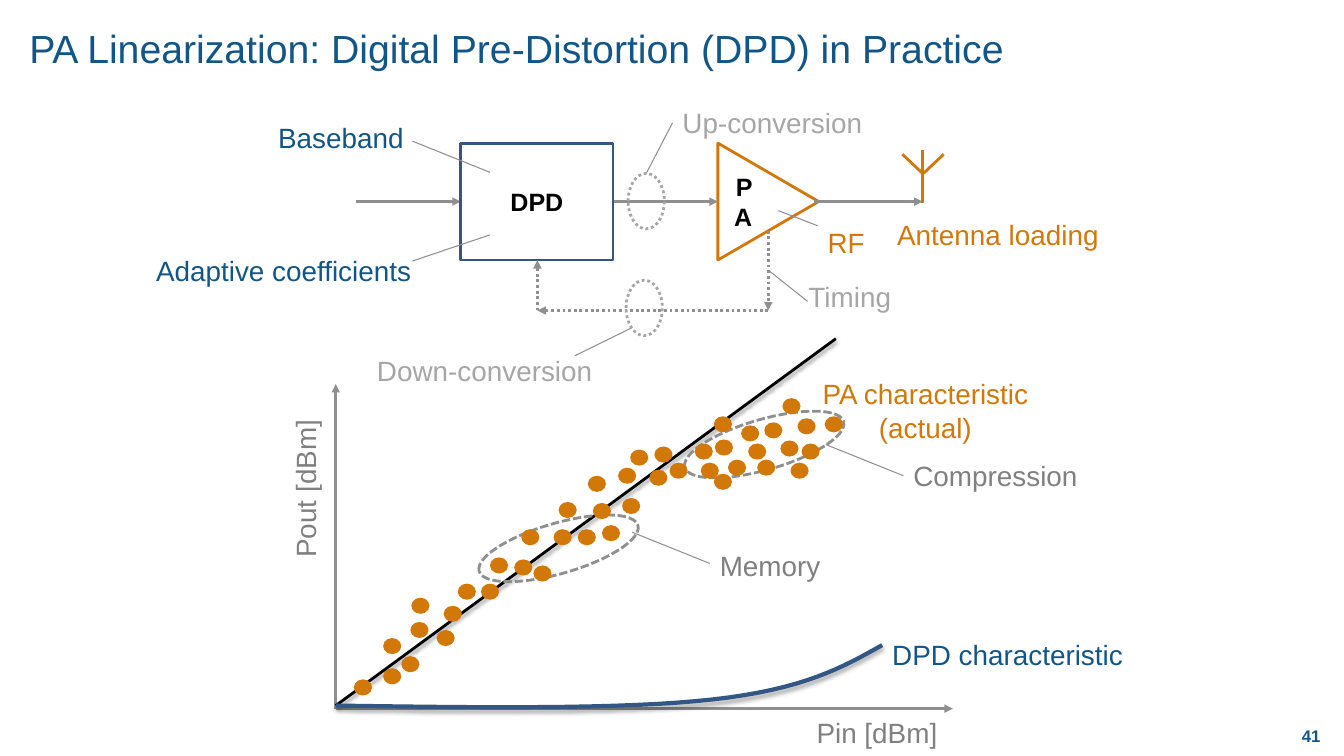
import pptx
import pptx.util
import pptx.dml.color
import pptx.enum.dml
import pptx.enum.shapes
import pptx.enum.text
import pptx.oxml
import pptx.oxml.ns
from dataclasses import dataclass

Inches = pptx.util.Inches
Pt = pptx.util.Pt
Shape = pptx.enum.shapes.MSO_SHAPE
Dash = pptx.enum.dml.MSO_LINE
Align = pptx.enum.text.PP_ALIGN
Anchor = pptx.enum.text.MSO_ANCHOR


@dataclass(frozen=True)
class Theme:
    font: str = "Arial"
    blue: str = "125687"
    navy: str = "325784"
    orange: str = "D27809"
    gray: str = "8F8F8F"
    dark_gray: str = "808080"
    light_gray: str = "A6A6A6"
    black: str = "000000"
    white: str = "FFFFFF"
    title_size: float = 28
    label_size: float = 19.9
    block_size: float = 17.9
    number_size: float = 12
    stroke: float = 2
    thin: float = 0.75
    curve: float = 3


THEME = Theme()

# Content: lengths in inches
TITLE = "PA Linearization: Digital Pre-Distortion (DPD) in Practice"
SLIDE_NUMBER = "41"

# Text, left, top, width, colour, rotation
LABELS = [
    ("Pin [dBm]", 8, 7.05, 1.41, THEME.dark_gray, 0),
    ("Pout [dBm]", 2.24, 4.62, 1.58, THEME.dark_gray, 270),
    ("PA characteristic\n(actual)", 8.06, 3.69, 2.29, THEME.orange, 0),
    ("Compression", 8.96, 4.5, 1.85, THEME.dark_gray, 0),
    ("Memory", 7.04, 5.39, 1.21, THEME.dark_gray, 0),
    ("RF", 8.11, 2.19, 0.58, THEME.orange, 0),
    ("Baseband", 2.66, 1.15, 1.46, THEME.blue, 0),
    ("Up-conversion", 6.67, 1, 2.01, THEME.light_gray, 0),
    ("Down-conversion", 3.64, 3.46, 2.36, THEME.light_gray, 0),
    ("Adaptive coefficients", 1.45, 2.47, 2.76, THEME.blue, 0),
    ("Timing", 7.92, 2.73, 1.03, THEME.light_gray, 0),
    ("Antenna loading", 8.8, 2.11, 2.22, THEME.orange, 0),
    ("DPD characteristic", 8.75, 6.28, 2.52, THEME.blue, 0),
]

# Lines run from (x, y) to (x, y)
SIGNAL_ARROWS = [(6.08, 2, 7.12, 2), (8.07, 2, 9.15, 2), (3.53, 2, 4.57, 2)]
FEEDBACK_ARROWS = [(7.62, 2.29, 7.62, 3.08), (7.62, 3.08, 5.33, 3.08), (5.33, 3.08, 5.33, 2.58)]
AXES = [(3.33, 7.03, 9.45, 7.03), (3.33, 7.03, 3.33, 3.81)]
IDEAL_LINE = (3.33, 7, 8.29, 3.36)
ANTENNA = [(9.15, 1.49, 9.15, 2.01), (8.95, 1.53, 9.15, 1.72), (9.36, 1.53, 9.16, 1.72)]
LEADERS = [
    (8.19, 4.41, 8.96, 4.72), (6.27, 5.28, 7.04, 5.59), (4.09, 1.4, 4.86, 1.71),
    (7.72, 2.09, 8.11, 2.24), (6.41, 1.72, 6.67, 1.22), (5.7, 3.53, 6.27, 3.25),
    (4.09, 2.59, 4.86, 2.33), (7.62, 2.68, 8.01, 2.99),
]

REGIONS = [(6.76, 4.16), (4.72, 5.19)]
CONVERTERS = [(6.23, 1.72), (6.21, 2.78)]

# Start point, then control, control, end for each curve segment
DPD_CURVE = [(3.33, 7), (4.74, 7.02), (6.16, 7.04), (7.06, 6.94),
             (7.97, 6.84), (8.36, 6.62), (8.75, 6.4)]
CURVE_STEPS = 16

DOT_SIZE = (0.18, 0.16)
DOTS = [
    (3.51, 6.74), (3.8, 6.63), (3.8, 6.33), (3.98, 6.51), (4.07, 6.17), (4.33, 6.25),
    (4.4, 6.01), (4.08, 5.93), (4.54, 5.79), (4.77, 5.79), (5.1, 5.55), (5.49, 5.25),
    (5.88, 4.99), (6.44, 4.66), (6.89, 4.4), (7.35, 4.22), (7.91, 4.15), (4.86, 5.53),
    (5.29, 5.61), (5.17, 5.25), (5.54, 4.98), (5.73, 5.25), (5.97, 5.21), (6.17, 4.94),
    (6.13, 4.64), (6.49, 4.43), (6.64, 4.59), (6.95, 4.59), (7.22, 4.56), (7.08, 4.13),
    (7.09, 4.36), (7.42, 4.4), (7.74, 4.37), (7.76, 3.95), (7.58, 4.19), (7.95, 4.4),
    (7.51, 4.56), (7.84, 4.59), (7.08, 4.7), (8.18, 4.13), (5.83, 4.72), (6.25, 4.46),
]


def rgb(color):
    return pptx.dml.color.RGBColor.from_string(color)


def set_text(shape, text, size, color, bold=False, align=Align.LEFT):
    shape.text_frame.text = text
    for paragraph in shape.text_frame.paragraphs:
        paragraph.alignment = align
        for run in paragraph.runs:
            run.font.name = THEME.font
            run.font.size = Pt(size)
            run.font.bold = bold
            run.font.color.rgb = rgb(color)


def set_line(shape, color, width, dash=None):
    shape.line.color.rgb = rgb(color)
    shape.line.width = Pt(width)
    if dash is not None:
        shape.line.dash_style = dash


def add_effects(shape, alpha=None, blur=0, distance=0):
    """Add an effect list: empty, or a black shadow falling downward."""
    effects = pptx.oxml.parse_xml(f"<a:effectLst {pptx.oxml.ns.nsdecls('a')}/>")
    if alpha is not None:
        effects.append(pptx.oxml.parse_xml(
            f'<a:outerShdw {pptx.oxml.ns.nsdecls("a")} blurRad="{Pt(blur)}" dist="{Pt(distance)}" '
            f'dir="5400000" rotWithShape="0"><a:srgbClr val="{THEME.black}">'
            f'<a:alpha val="{alpha * 1000}"/></a:srgbClr></a:outerShdw>'))
    shape._element.spPr.append(effects)


def add_line(slide, ends, color, width, dash=None, arrow=False, **shadow):
    line = slide.shapes.add_connector(
        pptx.enum.shapes.MSO_CONNECTOR.STRAIGHT, *[Inches(value) for value in ends])
    set_line(line, color, width, dash)
    if arrow:
        line.line._get_or_add_ln().append(pptx.oxml.parse_xml(
            f'<a:tailEnd {pptx.oxml.ns.nsdecls("a")} type="triangle"/>'))
    add_effects(line, **shadow)


def add_shape(slide, kind, box, fill=None, line=None, dash=None, rotation=0):
    shape = slide.shapes.add_shape(kind, *[Inches(value) for value in box])
    shape.shadow.inherit = False
    shape.rotation = rotation
    if fill:
        shape.fill.solid()
        shape.fill.fore_color.rgb = rgb(fill)
    else:
        shape.fill.background()
    if line:
        set_line(shape, line, THEME.stroke, dash)
    else:
        shape.line.fill.background()
    return shape


def add_block(slide, kind, box, line, text, rotation=0):
    block = add_shape(slide, kind, box, THEME.white, line, rotation=rotation)
    set_text(block, text, THEME.block_size, THEME.black, True, Align.CENTER)
    block.text_frame.vertical_anchor = Anchor.MIDDLE
    return block


def add_label(slide, text, left, top, width, color, rotation):
    height = 0.44 + 0.33 * text.count("\n")
    label = slide.shapes.add_textbox(Inches(left), Inches(top), Inches(width), Inches(height))
    label.rotation = rotation
    set_text(label, text, THEME.label_size, color)
    label.text_frame.word_wrap = False
    label.text_frame.auto_size = pptx.enum.text.MSO_AUTO_SIZE.SHAPE_TO_FIT_TEXT
    for paragraph in label.text_frame.paragraphs[1:]:
        paragraph.alignment = Align.CENTER


def curve_points(points):
    for index in range(0, len(points) - 1, 3):
        segment = points[index:index + 4]
        for step in range(1, CURVE_STEPS + 1):
            t = step / CURVE_STEPS
            weights = ((1 - t) ** 3, 3 * t * (1 - t) ** 2, 3 * t ** 2 * (1 - t), t ** 3)
            yield tuple(Inches(sum(weight * point[axis] for weight, point in zip(weights, segment)))
                        for axis in (0, 1))


def main():
    presentation = pptx.Presentation()
    presentation.slide_width, presentation.slide_height = Inches(13.33), Inches(7.5)
    slide = presentation.slides.add_slide(presentation.slide_layouts[5])

    # Title and slide number
    title = slide.shapes.title
    title.left, title.top, title.width, title.height = map(Inches, (0.19, 0.19, 13.14, 1.08))
    set_text(title, TITLE, THEME.title_size, THEME.blue)
    title.text_frame.vertical_anchor = Anchor.TOP
    number = slide.shapes.add_textbox(*map(Inches, (12.67, 7.09, 0.67, 0.42)))
    set_text(number, SLIDE_NUMBER, THEME.number_size, THEME.blue, True, Align.CENTER)
    number.text_frame.word_wrap = True
    number.text_frame.vertical_anchor = Anchor.MIDDLE

    # Block diagram
    amplifier = add_block(slide, Shape.ISOSCELES_TRIANGLE, (7.04, 1.5, 1.16, 1),
                          THEME.orange, "PA", rotation=90)
    amplifier.text_frame._txBody.bodyPr.set("vert", "vert270")
    for ends in SIGNAL_ARROWS:
        add_line(slide, ends, THEME.gray, THEME.stroke, arrow=True)
    add_block(slide, Shape.RECTANGLE, (4.57, 1.42, 1.51, 1.16), THEME.navy, "DPD")
    for ends in FEEDBACK_ARROWS:
        add_line(slide, ends, THEME.gray, THEME.stroke, Dash.ROUND_DOT, arrow=True)

    # Chart axes, ideal line and regions
    for ends in AXES:
        add_line(slide, ends, THEME.gray, THEME.stroke, arrow=True)
    add_line(slide, IDEAL_LINE, THEME.black, THEME.stroke, alpha=38, blur=3.1, distance=1.6)
    for left, top in REGIONS:
        add_shape(slide, Shape.OVAL, (left, top, 1.64, 0.5), line=THEME.gray,
                  dash=Dash.SQUARE_DOT, rotation=343.9)

    # DPD curve
    builder = slide.shapes.build_freeform(*map(Inches, DPD_CURVE[0]))
    builder.add_line_segments(list(curve_points(DPD_CURVE)), close=False)
    curve = builder.convert_to_shape()
    curve.fill.background()
    set_line(curve, THEME.navy, THEME.curve)
    add_effects(curve, alpha=35, blur=3.1, distance=1.8)

    # Labels and leaders
    for label in LABELS:
        add_label(slide, *label)
    for ends in LEADERS:
        add_line(slide, ends, THEME.gray, THEME.thin)

    # Measured points, converters and antenna
    for dot in DOTS:
        add_shape(slide, Shape.FLOWCHART_CONNECTOR, dot + DOT_SIZE, fill=THEME.orange)
    for left, top in CONVERTERS:
        add_shape(slide, Shape.OVAL, (left, top, 0.36, 0.55), line=THEME.light_gray,
                  dash=Dash.ROUND_DOT)
    for ends in ANTENNA:
        add_line(slide, ends, THEME.orange, THEME.stroke)

    presentation.save("out.pptx")


if __name__ == "__main__":
    main()
